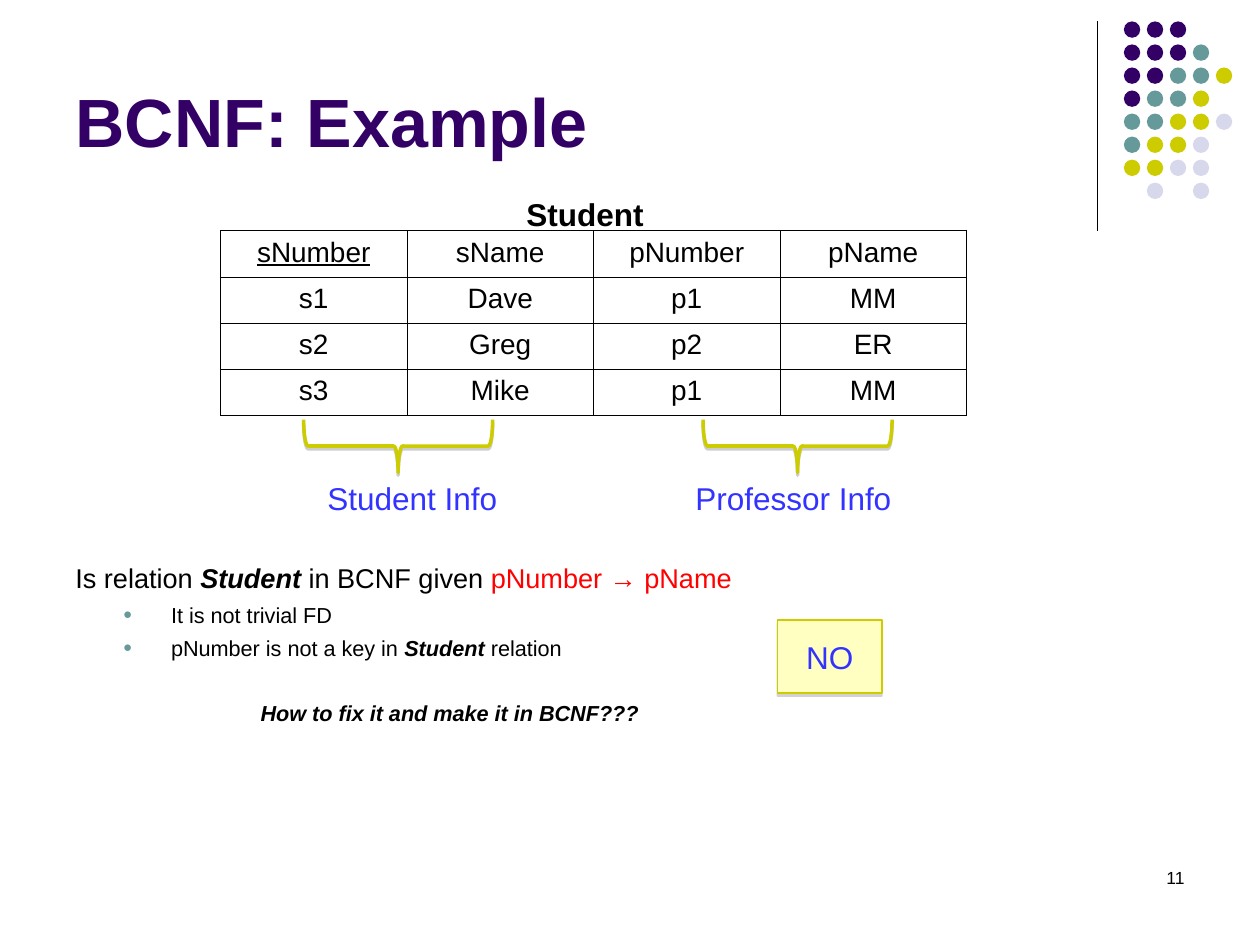
from lxml import etree
from pptx import Presentation
from pptx.dml.color import RGBColor
from pptx.enum.shapes import MSO_CONNECTOR, MSO_SHAPE
from pptx.enum.text import MSO_ANCHOR, PP_ALIGN
from pptx.oxml.ns import qn
from pptx.util import Inches, Pt

LEFT, CENTER, RIGHT = PP_ALIGN.LEFT, PP_ALIGN.CENTER, PP_ALIGN.RIGHT
MIDDLE, BOTTOM = MSO_ANCHOR.MIDDLE, MSO_ANCHOR.BOTTOM
ELLIPSE, RECTANGLE, BRACE = MSO_SHAPE.OVAL, MSO_SHAPE.RECTANGLE, MSO_SHAPE.RIGHT_BRACE
STRAIGHT = MSO_CONNECTOR.STRAIGHT

FONT = "Arial"
COLORS = {
    "black": "000000", "purple": "330066", "teal": "669999", "olive": "CCCC00",
    "lavender": "D8D8EC", "blue": "3333FF", "red": "FF0000", "cream": "FFFFC2",
    "shadow": "808080",
}

# Content
TITLE = "BCNF: Example"
PAGE_NUMBER = "11"
STUDENT_ROWS = [
    ("sNumber", "sName", "pNumber", "pName"),
    ("s1", "Dave", "p1", "MM"),
    ("s2", "Greg", "p2", "ER"),
    ("s3", "Mike", "p1", "MM"),
]
LABELS = [  # text, left, top, width, format
    ("Student", 4.08, 1.5, 1.15, {"bold": True}),
    ("Student Info", 2.5, 3.75, 1.6, {"color": "blue"}),
    ("Professor Info", 5.42, 3.75, 1.85, {"color": "blue"}),
]
BRACE_LEFTS = [2.95, 6.12]
STRONG = {"bold": True, "italic": True}
QUESTION = [("Is relation ", {}), ("Student", STRONG), (" in BCNF given ", {}),
            ("pNumber → pName", {"color": "red"})]
REASONS = [
    [("It is not trivial FD", {})],
    [("pNumber is not a key in ", {}), ("Student", STRONG), (" relation", {})],
]
FOLLOW_UP = "How to fix it and make it in BCNF???"
ANSWER = "NO"
DOT_ROWS = ["PPP", "PPPT", "PPTTO", "PTTO", "TTOOL", "TOOL", "OOLL", " L L"]
DOT_COLORS = {"P": "purple", "T": "teal", "O": "olive", "L": "lavender"}


def rgb(name):
    return RGBColor.from_string(COLORS[name])


def write(paragraph, content, size=18, color="black", bold=False, italic=False,
          underline=False, align=LEFT, before=0):
    """Fill a paragraph with a string or with (text, overrides) runs."""
    paragraph.alignment = align
    paragraph.space_before = Pt(before)
    runs = [(content, {})] if isinstance(content, str) else content
    for text, overrides in runs:
        run = paragraph.add_run()
        run.text = text
        font = run.font
        font.name, font.size = FONT, Pt(size)
        font.bold = overrides.get("bold", bold)
        font.italic = overrides.get("italic", italic)
        font.underline = underline
        font.color.rgb = rgb(overrides.get("color", color))


def add_text_box(slide, left, top, width, height, wrap=True):
    box = slide.shapes.add_textbox(Inches(left), Inches(top), Inches(width), Inches(height))
    box.text_frame.word_wrap = wrap
    return box.text_frame


def add_shape(slide, kind, left, top, width, height, fill=None, line=None, line_width=0.75):
    shape = slide.shapes.add_shape(kind, Inches(left), Inches(top), Inches(width), Inches(height))
    shape.shadow.inherit = False
    if fill:
        shape.fill.solid()
        shape.fill.fore_color.rgb = rgb(fill)
    else:
        shape.fill.background()
    if line:
        shape.line.color.rgb = rgb(line)
        shape.line.width = Pt(line_width)
    else:
        shape.line.fill.background()
    return shape


def add_shadow(shape, distance, opacity):
    effects = shape._element.spPr.find(qn("a:effectLst"))
    shadow = etree.SubElement(effects, qn("a:outerShdw"), blurRad="0",
                              dist=str(Pt(distance)), dir="5400000", rotWithShape="0")
    color = etree.SubElement(shadow, qn("a:srgbClr"), val=COLORS["shadow"])
    etree.SubElement(color, qn("a:alpha"), val=str(opacity * 1000))


def set_borders(cell, width):
    properties = cell._tc.get_or_add_tcPr()
    for index, side in enumerate(("a:lnL", "a:lnR", "a:lnT", "a:lnB")):
        line = etree.Element(qn(side), w=str(Pt(width)))
        fill = etree.SubElement(line, qn("a:solidFill"))
        etree.SubElement(fill, qn("a:srgbClr"), val=COLORS["black"])
        properties.insert(index, line)


def set_indent(paragraph, margin, hanging=0, bullet=False):
    properties = paragraph._p.get_or_add_pPr()
    properties.set("marL", str(Inches(margin)))
    properties.set("indent", str(-Inches(hanging)))
    if bullet:
        color = etree.SubElement(properties, qn("a:buClr"))
        etree.SubElement(color, qn("a:srgbClr"), val=COLORS["teal"])
        etree.SubElement(properties, qn("a:buSzPct"), val="70000")
        etree.SubElement(properties, qn("a:buFont"), typeface=FONT)
        etree.SubElement(properties, qn("a:buChar"), char="●")


def add_decoration(slide):
    rule = slide.shapes.add_connector(STRAIGHT, Inches(8.71), Inches(0.17),
                                      Inches(8.71), Inches(1.83))
    rule.line.color.rgb = rgb("black")
    rule.line.width = Pt(0.75)
    etree.SubElement(rule._element.spPr, qn("a:effectLst"))
    for row, dots in enumerate(DOT_ROWS):
        for column, dot in enumerate(dots):
            if dot in DOT_COLORS:
                add_shape(slide, ELLIPSE, 8.92 + column * 0.73 / 4, 0.17 + row * 1.28 / 7,
                          0.13, 0.13, fill=DOT_COLORS[dot])


def add_student_table(slide):
    table = slide.shapes.add_table(len(STUDENT_ROWS), len(STUDENT_ROWS[0]), Inches(1.75),
                                   Inches(1.83), Inches(5.92), Inches(1.47)).table
    table.first_row = table.horz_banding = False
    for row, values in enumerate(STUDENT_ROWS):
        for column, value in enumerate(values):
            cell = table.cell(row, column)
            cell.fill.background()
            set_borders(cell, 0.45)
            write(cell.text_frame.paragraphs[0], value, size=16, align=CENTER,
                  underline=row == column == 0)


def add_discussion(slide):
    frame = add_text_box(slide, 0.5, 4.41, 9, 1.42)
    write(frame.paragraphs[0], QUESTION, size=15.5)
    for reason in REASONS:
        paragraph = frame.add_paragraph()
        write(paragraph, reason, size=12.4, before=4)
        set_indent(paragraph, 0.76, 0.38, bullet=True)
    paragraph = frame.add_paragraph()
    write(paragraph, FOLLOW_UP, size=12.4, before=22.8, **STRONG)
    set_indent(paragraph, 1.47)


def main():
    presentation = Presentation()
    presentation.slide_width, presentation.slide_height = Inches(10), Inches(7.5)
    slide = presentation.slides.add_slide(presentation.slide_layouts[5])
    add_decoration(slide)

    # Title and page number
    title = slide.shapes.title
    title.left, title.top = Inches(0.5), Inches(0.13)
    title.width, title.height = Inches(8.25), Inches(1.2)
    title.text_frame.vertical_anchor = BOTTOM
    write(title.text_frame.paragraphs[0], TITLE, size=39, color="purple", bold=True)
    number = add_text_box(slide, 7.17, 6.83, 2.33, 0.5)
    write(number.paragraphs[0], PAGE_NUMBER, size=10, align=RIGHT)

    # Table with its labels and braces
    add_student_table(slide)
    for text, left, top, width, style in LABELS:
        write(add_text_box(slide, left, top, width, 0.4, wrap=False).paragraphs[0], text, **style)
    for left in BRACE_LEFTS:
        brace = add_shape(slide, BRACE, left, 2.79, 0.42, 1.5, line="olive", line_width=2)
        brace.rotation = 90
        add_shadow(brace, 1.6, 38)

    # Question and answer
    add_discussion(slide)
    answer = add_shape(slide, RECTANGLE, 6.17, 4.92, 0.83, 0.58, fill="cream", line="olive")
    add_shadow(answer, 1.8, 35)
    answer.text_frame.vertical_anchor = MIDDLE
    write(answer.text_frame.paragraphs[0], ANSWER, color="blue", align=CENTER)

    presentation.save("out.pptx")


if __name__ == "__main__":
    main()
